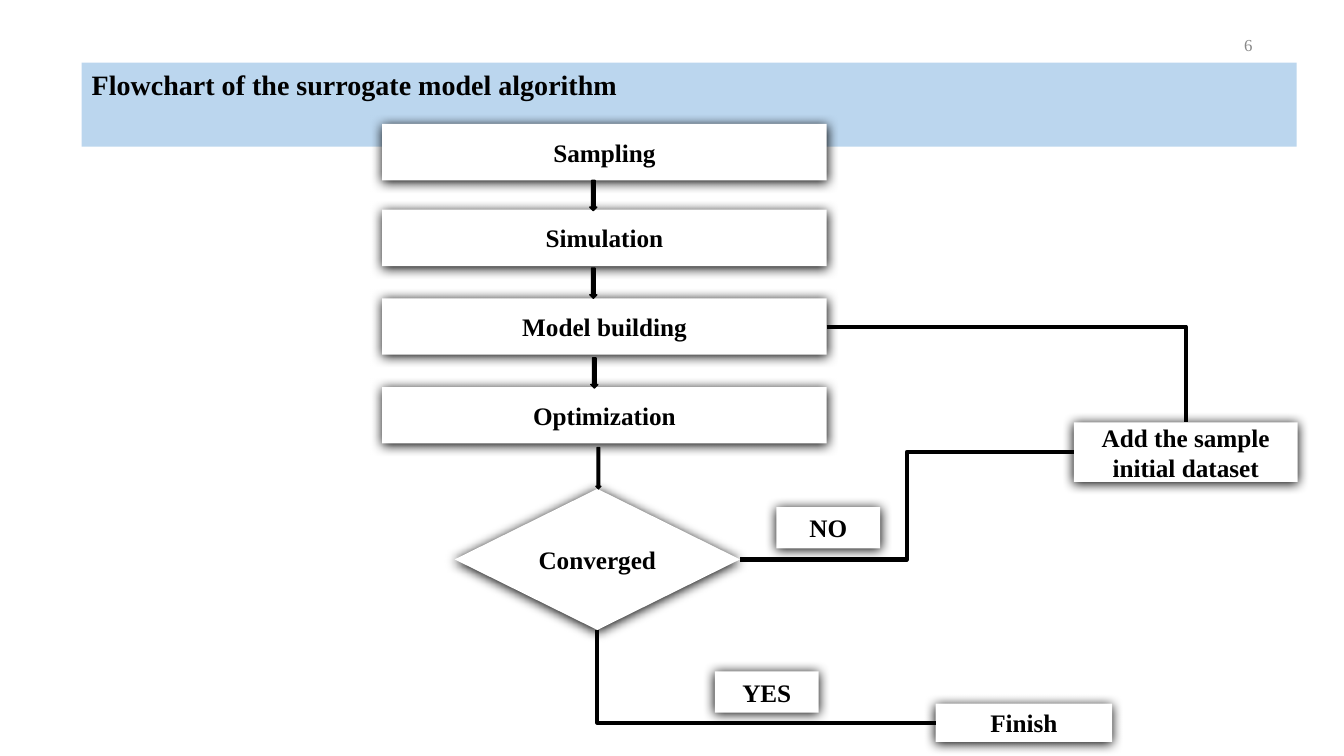
from dataclasses import dataclass

from lxml import etree
from pptx import Presentation
from pptx import util as u
from pptx.dml.color import RGBColor
from pptx.enum import shapes, text
from pptx.oxml.ns import qn

EMU_PER_PX = 9144
TOP, LEFT, BOTTOM, RIGHT = range(4)


@dataclass(frozen=True)
class Theme:
    font: str = "Times New Roman"
    ink: str = "000000"
    paper: str = "FFFFFF"
    banner: str = "BBD6EE"
    muted: str = "888888"
    title_size: int = 20
    step_size: int = 18
    number_size: int = 12
    arrow_line: int = 1
    route_line: int = 3
    shadow_blur: float = 8.5
    shadow_distance: int = 1


THEME = Theme()


def px(value):
    return u.Emu(value * EMU_PER_PX)


def area(*lengths):
    return [px(length) for length in lengths]


def paint(shape, colour):
    shape.fill.solid()
    shape.fill.fore_color.rgb = RGBColor.from_string(colour)


def write(shape, words, size, colour, align, anchor=text.MSO_ANCHOR.MIDDLE, bold=True):
    frame = shape.text_frame
    frame.word_wrap = True
    frame.vertical_anchor = anchor
    frame.text = words
    para = frame.paragraphs[0]
    para.alignment = align
    para.font.name = THEME.font
    para.font.size = u.Pt(size)
    para.font.bold = bold
    para.font.color.rgb = RGBColor.from_string(colour)


def add_shadow(shape):
    shape.shadow.inherit = False
    effects = shape._element.spPr.find(qn("a:effectLst"))
    shadow = etree.SubElement(
        effects,
        qn("a:outerShdw"),
        blurRad=str(u.Pt(THEME.shadow_blur)),
        dist=str(u.Pt(THEME.shadow_distance)),
        dir="5400000",
        algn="ctr",
        rotWithShape="0",
    )
    etree.SubElement(shadow, qn("a:srgbClr"), val=THEME.ink)


def add_title(page, words):
    title = page.shapes.title
    title.left, title.top, title.width, title.height = area(81, 62, 1205, 44)
    paint(title, THEME.banner)
    write(title, words, THEME.title_size, THEME.ink,
          text.PP_ALIGN.LEFT, text.MSO_ANCHOR.TOP)
    title.text_frame.auto_size = text.MSO_AUTO_SIZE.SHAPE_TO_FIT_TEXT


def add_page_number(page, number):
    box = page.shapes.add_textbox(*area(951, 27, 301, 35))
    write(box, number, THEME.number_size, THEME.muted, text.PP_ALIGN.RIGHT, bold=False)


def add_step(page, words, left, top, width, height, kind=shapes.MSO_SHAPE.RECTANGLE):
    step = page.shapes.add_shape(kind, *area(left, top, width, height))
    paint(step, THEME.paper)
    step.line.fill.background()
    add_shadow(step)
    write(step, words, THEME.step_size, THEME.ink, text.PP_ALIGN.CENTER)
    return step


def add_down_arrow(page, left, top, width, height):
    arrow = page.shapes.add_shape(
        shapes.MSO_SHAPE.DOWN_ARROW, *area(left, top, width, height))
    paint(arrow, THEME.ink)
    arrow.line.color.rgb = RGBColor.from_string(THEME.ink)
    arrow.line.width = u.Pt(THEME.arrow_line)
    arrow.shadow.inherit = False


def add_route(page, start, start_side, end, end_side, geometry):
    route = page.shapes.add_connector(shapes.MSO_CONNECTOR.ELBOW, 0, 0, 0, 0)
    route.begin_connect(start, start_side)
    route.end_connect(end, end_side)
    route.line.color.rgb = RGBColor.from_string(THEME.ink)
    route.line.width = u.Pt(THEME.route_line)
    properties = route._element.spPr
    properties.find(qn("a:prstGeom")).set("prst", geometry)
    etree.SubElement(properties, qn("a:effectLst"))


def main():
    deck = Presentation()
    deck.slide_width, deck.slide_height = area(1333, 750)
    page = deck.slides.add_slide(deck.slide_layouts[5])

    add_page_number(page, "6")
    add_title(page, "Flowchart of the surrogate model algorithm")

    stages = {
        words: add_step(page, words, 379, top, 441, 56)
        for words, top in (
            ("Sampling", 123),
            ("Simulation", 208),
            ("Model building", 296),
            ("Optimization", 384),
        )
    }
    converged = add_step(page, "Converged", 451, 485, 283, 140, shapes.MSO_SHAPE.DIAMOND)
    finish = add_step(page, "Finish", 928, 698, 175, 38)
    dataset = add_step(page, "Add the sample initial dataset", 1065, 419, 222, 59)
    add_step(page, "YES", 709, 666, 103, 41)
    add_step(page, "NO", 770, 503, 103, 41)

    for left, top in ((585, 179), (585, 266), (586, 355)):
        add_down_arrow(page, left, top, 7, 30)
    add_down_arrow(page, 591, 444, 5, 41)

    add_route(page, finish, LEFT, converged, BOTTOM, "bentConnector2")
    add_route(page, converged, RIGHT, dataset, LEFT, "bentConnector3")
    add_route(page, stages["Model building"], RIGHT, dataset, TOP, "bentConnector2")

    deck.save("out.pptx")


if __name__ == "__main__":
    main()
